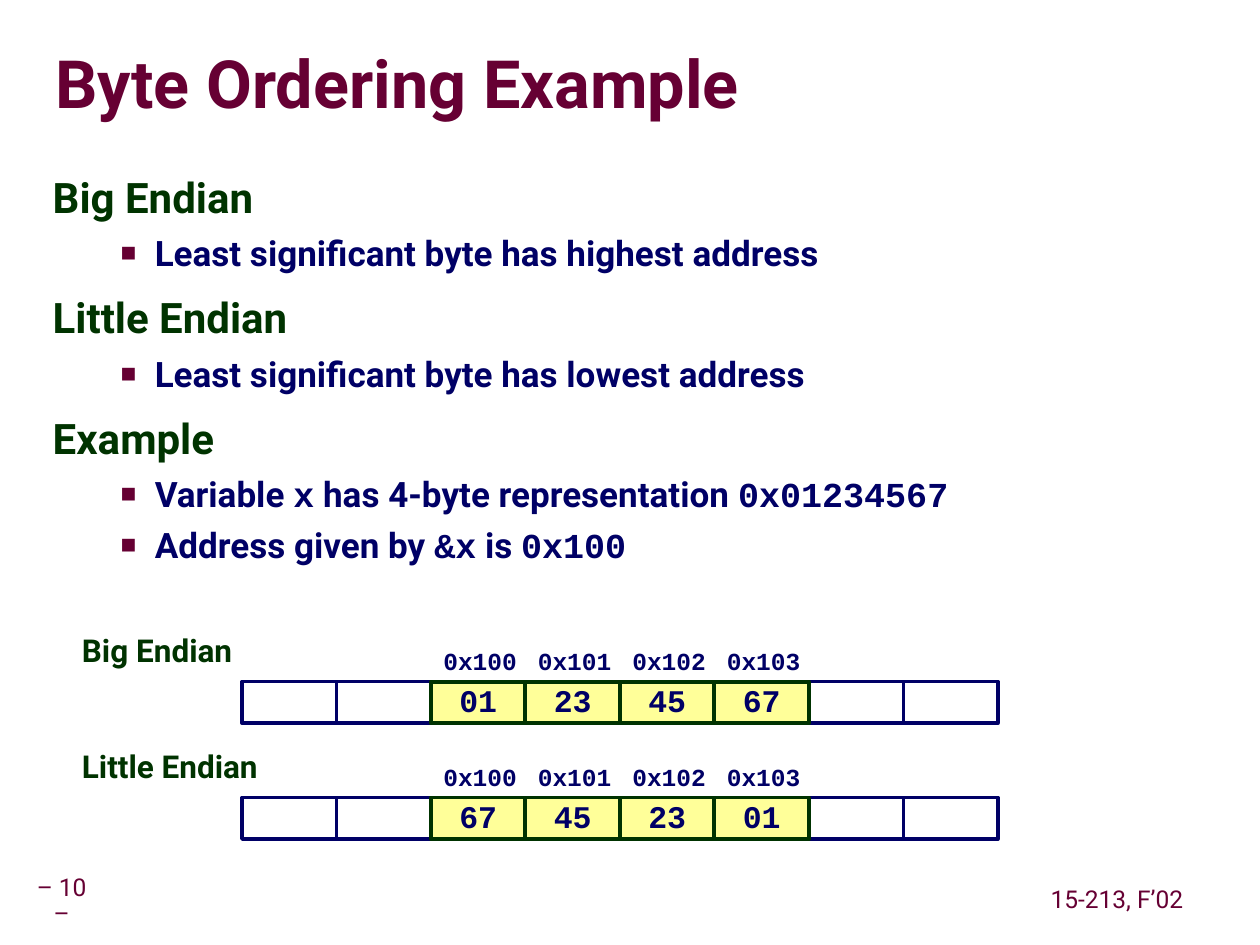
"""Build the byte ordering slide comparing big and little endian layouts."""
from lxml.etree import SubElement
from pptx import Presentation
from pptx.dml.color import RGBColor
from pptx.enum.shapes import MSO_SHAPE as Shape
from pptx.enum.text import MSO_ANCHOR as Anchor, PP_ALIGN as Align
from pptx.oxml.ns import qn
from pptx.util import Inches, Pt

COLORS = {
    "maroon": "660033", "green": "003300", "navy": "000066",
    "yellow": "FFFF99", "white": "FFFFFF", "shadow": "969696",
}
SANS, MONO = "Roboto", "Courier New"
CELL_WIDTH, CELL_HEIGHT = 0.75, 0.33
ROW_LEFT, CELL_COUNT, FIRST_BYTE = 1.92, 8, 2
ADDRESSES = ["0x100", "0x101", "0x102", "0x103"]
ROWS = [
    ("Big Endian", 5.0, ["01", "23", "45", "67"]),
    ("Little Endian", 5.92, ["67", "45", "23", "01"]),
]
OUTLINE = [
    ("Big Endian", ["Least significant byte has highest address"]),
    ("Little Endian", ["Least significant byte has lowest address"]),
    ("Example", ["Variable `x` has 4-byte representation `0x01234567`",
                 "Address given by `&x` is `0x100`"]),
]


def rgb(name):
    """Return the named palette colour."""
    return RGBColor.from_string(COLORS[name])


def write(para, text, size=18, color="navy", font=SANS, bold=True,
          align=Align.LEFT, spacing=1.0, before=0):
    """Fill a paragraph, setting the parts between backticks in the code font."""
    para.alignment, para.line_spacing, para.space_before = align, spacing, Pt(before)
    for index, part in enumerate(text.split("`")):
        if part:
            span = para.add_run()
            span.text = part
            span.font.name = MONO if index % 2 else font
            span.font.size, span.font.bold = Pt(size), bold
            span.font.color.rgb = rgb(color)


def add_bullet(para):
    """Give a paragraph a hanging square bullet."""
    props = para._p.get_or_add_pPr()
    props.set("marL", str(Inches(0.81)))
    props.set("indent", str(Inches(-0.27)))
    color = SubElement(props, qn("a:buClr"))
    SubElement(color, qn("a:srgbClr"), val=COLORS["maroon"])
    SubElement(props, qn("a:buSzPct"), val="75000")
    SubElement(props, qn("a:buFont"), typeface="Arial")
    SubElement(props, qn("a:buChar"), char="■")


def add_text_shadow(span):
    """Put a hard grey shadow behind the letters of a run."""
    effects = SubElement(span._r.get_or_add_rPr(), qn("a:effectLst"))
    shadow = SubElement(effects, qn("a:outerShdw"), dist=str(Pt(4)), dir="2700000")
    SubElement(shadow, qn("a:srgbClr"), val=COLORS["shadow"])
    props = span._r.rPr
    props.find(qn("a:solidFill")).addnext(effects)


class SlideBuilder:
    """Hold the current slide and draw its elements in one style."""

    def __init__(self, page):
        """Start drawing on the given page."""
        self.page = page

    def frame(self, box, across=0.1, down=0.05, anchor=Anchor.TOP, wrap=True):
        """Set the margins, anchor and wrapping of a box and return its frame."""
        frame = box.text_frame
        frame.margin_left = frame.margin_right = Inches(across)
        frame.margin_top = frame.margin_bottom = Inches(down)
        frame.vertical_anchor, frame.word_wrap = anchor, wrap
        return frame

    def title(self, text):
        """Place and format the title placeholder."""
        box = self.page.shapes.title
        box.left, box.top = Inches(0.44), Inches(0.27)
        box.width, box.height = Inches(9.53), Inches(0.85)
        para = self.frame(box, 0, 0, Anchor.MIDDLE).paragraphs[0]
        write(para, text, size=38, color="maroon", spacing=0.87)
        add_text_shadow(para.runs[0])

    def text_box(self, left, top, width, height, **layout):
        """Add a text box and return its frame."""
        box = self.page.shapes.add_textbox(
            Inches(left), Inches(top), Inches(width), Inches(height))
        return self.frame(box, **layout)

    def footer(self, text, left, top, width, wrap):
        """Add one small footer text."""
        frame = self.text_box(left, top, width, 0.31, across=0.05,
                              anchor=Anchor.MIDDLE, wrap=wrap)
        write(frame.paragraphs[0], text, size=14, color="maroon", bold=False,
              align=Align.CENTER, spacing=0.9)

    def outline(self, sections):
        """Add headings with their bulleted points."""
        frame = self.text_box(0.32, 1.34, 9.09, 3.4)
        for index, (heading, points) in enumerate(sections):
            para = frame.add_paragraph() if index else frame.paragraphs[0]
            write(para, heading, size=24, color="green", spacing=0.95,
                  before=12.5 if index else 0)
            for point in points:
                para = frame.add_paragraph()
                write(para, point, size=20, before=5)
                add_bullet(para)

    def cell(self, column, top, fill="white", line=None, weight=2, text="",
             across=0.1, **style):
        """Add one rectangle of a memory row."""
        box = self.page.shapes.add_shape(
            Shape.RECTANGLE, Inches(ROW_LEFT + column * CELL_WIDTH), Inches(top),
            Inches(CELL_WIDTH), Inches(CELL_HEIGHT))
        box.shadow.inherit = False
        box.fill.solid()
        box.fill.fore_color.rgb = rgb(fill)
        if line:
            box.line.color.rgb, box.line.width = rgb(line), Pt(weight)
        else:
            box.line.fill.background()
        if text:
            frame = self.frame(box, across, anchor=Anchor.MIDDLE, wrap=False)
            write(frame.paragraphs[0], text, font=MONO, **style)

    def memory_row(self, label, top, values):
        """Add a labelled row of memory cells with the addresses above it."""
        cell_top = top + 0.08 + CELL_HEIGHT
        used = range(FIRST_BYTE, FIRST_BYTE + len(values))
        for column, address in zip(used, ADDRESSES):
            self.cell(column, top + 0.08, text=address, size=14)
        for column in range(CELL_COUNT):
            if column not in used:
                self.cell(column, cell_top, line="navy")
        for column, value in zip(used, values):
            self.cell(column, cell_top, "yellow", "green", 2.25, value, across=0.05,
                      align=Align.CENTER, spacing=0.9)
        frame = self.text_box(0.58, top, 1.95, 0.34, across=0.07, down=0.03)
        write(frame.paragraphs[0], label, color="green", spacing=0.95)


def main():
    """Build and save the deck."""
    deck = Presentation()
    deck.slide_width, deck.slide_height = Inches(10), Inches(7.5)
    builder = SlideBuilder(deck.slides.add_slide(deck.slide_layouts[5]))
    builder.footer("– 10 –", 0.16, 7, 0.66, wrap=True)
    builder.footer("15-213, F’02", 8.27, 6.99, 1.19, wrap=False)
    builder.title("Byte Ordering Example")
    builder.outline(OUTLINE)
    for label, top, values in ROWS:
        builder.memory_row(label, top, values)
    deck.save("out.pptx")


if __name__ == "__main__":
    main()
